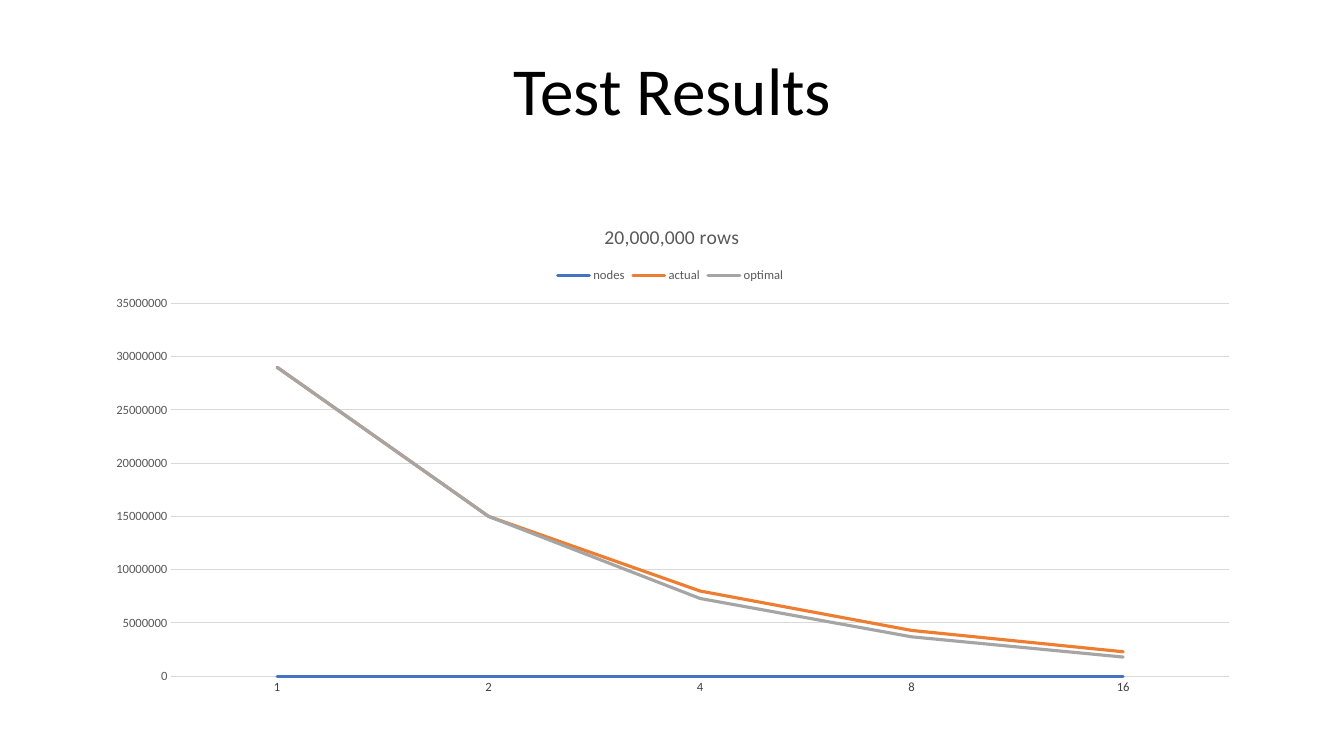
from dataclasses import dataclass

from lxml.etree import SubElement
from pptx import Presentation
from pptx.chart.chart import Chart
from pptx.chart.data import CategoryChartData
from pptx.dml.color import RGBColor
from pptx.enum.chart import (XL_CHART_TYPE, XL_LABEL_POSITION,
                             XL_LEGEND_POSITION, XL_MARKER_STYLE,
                             XL_TICK_MARK)
from pptx.enum.text import MSO_ANCHOR, PP_ALIGN
from pptx.oxml.ns import qn
from pptx.slide import Slide
from pptx.text.text import Font
from pptx.util import Inches, Pt


@dataclass(frozen=True)
class Theme:
    face: str = "Calibri"
    black: str = "000000"
    gray: str = "595959"
    dark: str = "404040"
    grid: str = "D9D9D9"
    head: int = 48
    title: int = 14
    base: int = 10
    small: int = 9
    line: float = 2.25
    rule: float = 0.75


@dataclass(frozen=True)
class Curve:
    name: str
    color: str
    values: tuple[int, ...]


THEME = Theme()
WIDTH, HEIGHT = 11.5, 4.86
NODES = Curve("nodes", "4472C4", (1, 2, 4, 8, 16))
CURVES = (
    NODES,
    Curve("actual", "ED7D31",
          (29000000, 15000000, 8000000, 4300000, 2300000)),
    Curve("optimal", "A5A5A5",
          (29000000, 15000000, 7300000, 3700000, 1800000)),
)


def set_font(font: Font, size: int, color: str) -> None:
    font.name = THEME.face
    font.size = Pt(size)
    font.bold = False
    font.color.rgb = RGBColor.from_string(color)


def place(chart: Chart, part: str, after: str | None, **spots: float) -> None:
    """Fix a chart part at inches from the chart's top left corner."""
    node = chart._chartSpace.find(f".//{qn(part)}")
    for old in node.findall(qn("c:layout")):
        node.remove(old)
    layout = SubElement(node, qn("c:layout"))
    node.insert(0 if after is None else
                node.index(node.find(qn(after))) + 1, layout)
    manual = SubElement(layout, qn("c:manualLayout"))
    if part == "c:plotArea":
        SubElement(manual, qn("c:layoutTarget")).set("val", "inner")
    for axis in ("x", "y"):
        SubElement(manual, qn(f"c:{axis}Mode")).set("val", "edge")
    for key, value in spots.items():
        share = value / (WIDTH if key in "xw" else HEIGHT)
        SubElement(manual, qn(f"c:{key}")).set("val", str(share))


def add_title(slide: Slide, text: str) -> None:
    box = slide.shapes.add_textbox(Inches(0.92), Inches(0.32),
                                   Inches(WIDTH), Inches(1.02))
    frame = box.text_frame
    frame.word_wrap = True
    frame.vertical_anchor = MSO_ANCHOR.BOTTOM
    frame.text = text
    para = frame.paragraphs[0]
    para.alignment = PP_ALIGN.CENTER
    para.line_spacing = 0.9
    set_font(para.runs[0].font, THEME.head, THEME.black)


def add_lines(slide: Slide) -> Chart:
    data = CategoryChartData()
    data.categories = [str(i + 1) for i in range(len(NODES.values))]
    for curve in CURVES:
        data.add_series(curve.name, curve.values)
    chart = slide.shapes.add_chart(
        XL_CHART_TYPE.LINE, Inches(0.92), Inches(2.04),
        Inches(WIDTH), Inches(HEIGHT), data).chart
    set_font(chart.font, THEME.base, THEME.black)
    chart.plots[0].vary_by_categories = False
    for series, curve in zip(chart.plots[0].series, CURVES):
        series.smooth = False
        series.marker.style = XL_MARKER_STYLE.NONE
        line = series.format.line
        line.width = Pt(THEME.line)
        line.color.rgb = RGBColor.from_string(curve.color)
        series._element.find(f".//{qn('a:ln')}").set("cap", "rnd")
    return chart


def label_nodes(chart: Chart) -> None:
    labels = chart.plots[0].series[CURVES.index(NODES)].data_labels
    labels.show_value = True
    labels.position = XL_LABEL_POSITION.BELOW
    set_font(labels.font, THEME.small, THEME.dark)


def style_axes(chart: Chart) -> None:
    chart.category_axis.visible = False
    axis = chart.value_axis
    axis.minimum_scale, axis.maximum_scale = 0, 35000000
    axis.major_unit = 5000000
    axis.major_tick_mark = axis.minor_tick_mark = XL_TICK_MARK.NONE
    axis.format.line.fill.background()
    set_font(axis.tick_labels.font, THEME.small, THEME.gray)
    grid = axis.major_gridlines.format.line
    grid.width = Pt(THEME.rule)
    grid.color.rgb = RGBColor.from_string(THEME.grid)


def add_heads(chart: Chart, text: str) -> None:
    """Add the chart title and the legend."""
    chart.has_title = True
    frame = chart.chart_title.text_frame
    frame.text = text
    set_font(frame.paragraphs[0].runs[0].font, THEME.title, THEME.gray)
    chart.has_legend = True
    chart.legend.position = XL_LEGEND_POSITION.TOP
    chart.legend.include_in_layout = False
    set_font(chart.legend.font, THEME.small, THEME.gray)


def main() -> None:
    deck = Presentation()
    deck.slide_width, deck.slide_height = Inches(13.33), Inches(7.5)
    slide = deck.slides.add_slide(deck.slide_layouts[6])
    add_title(slide, "Test Results")
    chart = add_lines(slide)
    label_nodes(chart)
    style_axes(chart)
    add_heads(chart, "20,000,000 rows")
    place(chart, "c:title", "c:tx", x=5.04, y=0.14)
    place(chart, "c:legend", "c:legendPos", x=4.57, y=0.58)
    place(chart, "c:plotArea", None, x=0.78, y=0.97, w=10.49, h=3.7)
    deck.save("out.pptx")


if __name__ == "__main__":
    main()
